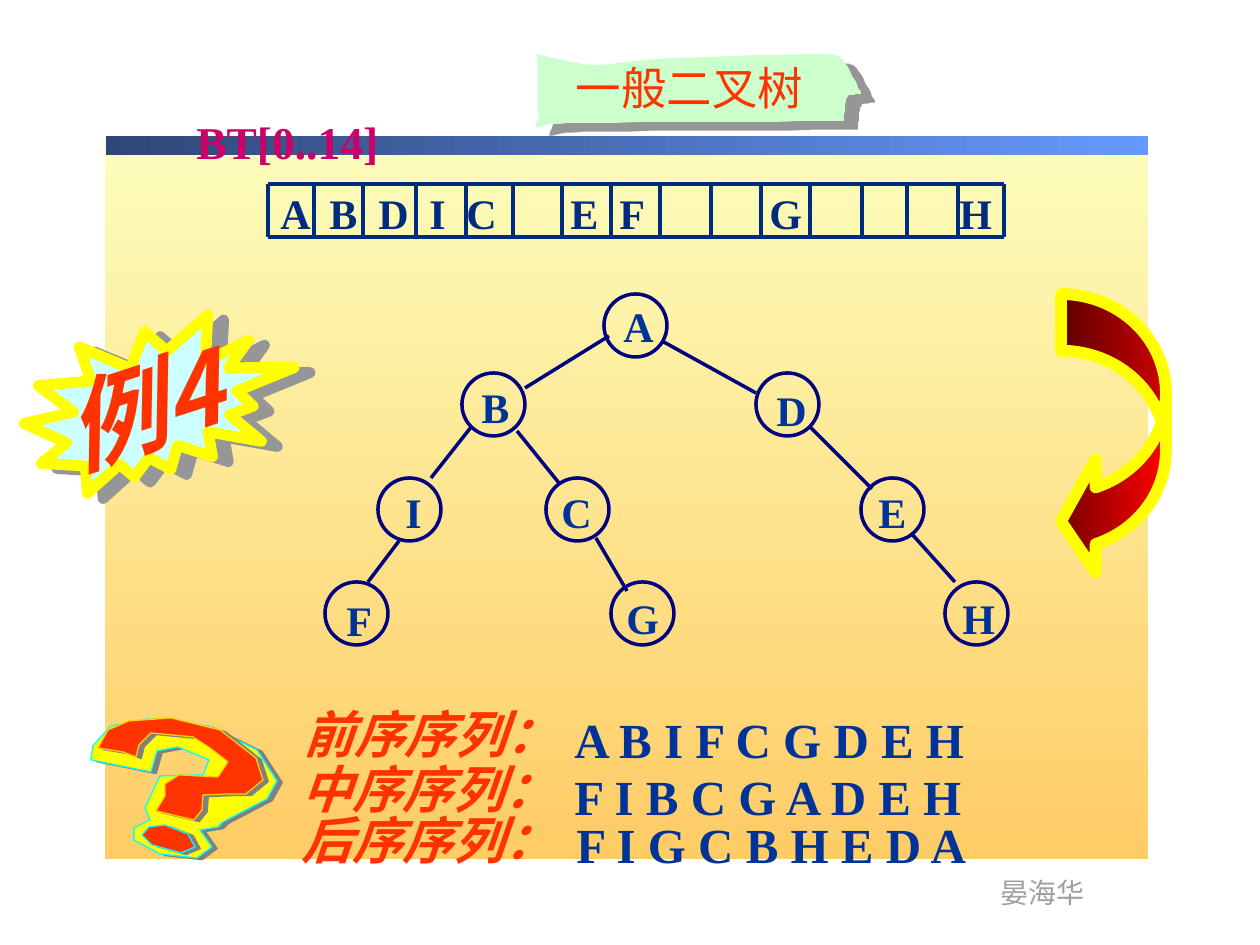
"""Build a slide on a general binary tree, its array and its traversals."""
from dataclasses import dataclass

from lxml.etree import SubElement
from pptx import Presentation
from pptx.dml.color import RGBColor
from pptx.enum.shapes import MSO_CONNECTOR, MSO_SHAPE
from pptx.enum.text import MSO_ANCHOR, MSO_AUTO_SIZE, PP_ALIGN
from pptx.oxml.ns import qn
from pptx.util import Emu, Pt

EMU_PER_PX = 914400 / 126


def px(length):
    """Turn pixels into EMU."""
    return Emu(round(length * EMU_PER_PX))


def bezier(start, curves, steps=12):
    """Return the points along a chain of cubic curves."""
    points = [start]
    for first, second, end in curves:
        origin = points[-1]
        for step in range(1, steps + 1):
            t = step / steps
            weights = ((1 - t) ** 3, 3 * t * (1 - t) ** 2, 3 * t * t * (1 - t), t ** 3)
            controls = (origin, first, second, end)
            points.append(tuple(sum(w * c[axis] for w, c in zip(weights, controls)) for axis in (0, 1)))
    return points


@dataclass(frozen=True)
class Theme:
    """Colours, fonts and type sizes of the slide."""
    panel: tuple = ("FCFEBC", "FFCC66")
    bar: tuple = ("2F4776", "6699FF")
    arrow: tuple = ("FF0000", "760000")
    red: str = "FF3300"
    blue: str = "003399"
    navy: str = "000080"
    grid: str = "002B80"
    magenta: str = "CC0066"
    yellow: str = "FFFF00"
    gold: str = "FFCC00"
    cyan: str = "00FFFF"
    pale_cyan: str = "CCFFFF"
    mint: str = "CCFFCC"
    author: str = "9F9F9F"
    shade: str = "969696"
    mark_shade: str = "808080"
    white: str = "FFFFFF"
    black: str = "000000"
    serif: str = "Times New Roman"
    narrow: str = "Arial Narrow"
    cjk: str = "Noto Sans CJK SC"
    small: int = 16
    letter: int = 24
    heading: int = 26
    sequence: int = 28
    caption: int = 29
    burst: int = 57
    stroke: int = 2


class SlideBuilder:
    """Draw themed elements on the current slide."""

    def __init__(self, slide, theme):
        """Keep the slide and its theme."""
        self.slide, self.theme = slide, theme

    def shadow(self, parent, color, distance, angle):
        """Add an outer shadow to shape or text properties."""
        effects = SubElement(parent, qn("a:effectLst"))
        outer = SubElement(effects, qn("a:outerShdw"), dist=str(Pt(distance)),
                           dir=str(angle * 60000), algn="ctr", rotWithShape="0")
        SubElement(outer, qn("a:srgbClr"), val=color)

    def paint(self, shape, fill=None, line=None, width=None, shadow=None, angle=0):
        """Set the fill, outline and shadow of a shape."""
        if isinstance(fill, tuple):
            shape.fill.gradient()
            shape.fill.gradient_angle = angle
            for stop, color, position in zip(shape.fill.gradient_stops, fill, (0, 1)):
                stop.color.rgb = RGBColor.from_string(color)
                stop.position = position
        elif fill:
            shape.fill.solid()
            shape.fill.fore_color.rgb = RGBColor.from_string(fill)
        else:
            shape.fill.background()
        if line:
            shape.line.color.rgb = RGBColor.from_string(line)
            shape.line.width = Pt(width)
        else:
            shape.line.fill.background()
        if shadow:
            self.shadow(shape.element.spPr, *shadow)
        else:
            shape.shadow.inherit = False
        return shape

    def preset(self, kind, box, **look):
        """Add a preset shape."""
        return self.paint(self.slide.shapes.add_shape(kind, *map(px, box)), **look)

    def outline(self, points, **look):
        """Add a closed freeform."""
        builder = self.slide.shapes.build_freeform(*points[0], scale=EMU_PER_PX)
        builder.add_line_segments(points[1:], close=True)
        return self.paint(builder.convert_to_shape(), **look)

    def line(self, start, end, color):
        """Add a straight line."""
        connector = self.slide.shapes.add_connector(MSO_CONNECTOR.STRAIGHT, *map(px, start + end))
        connector.line.color.rgb = RGBColor.from_string(color)
        connector.line.width = Pt(self.theme.stroke)
        SubElement(connector.element.spPr, qn("a:effectLst"))

    def set_text(self, holder, text, size, color, font=None, wrap=False, shadow=None, tabs=(), **style):
        """Fill a text holder with one formatted paragraph."""
        frame = holder.text_frame
        layout = {"word_wrap": wrap, "auto_size": MSO_AUTO_SIZE.NONE, "vertical_anchor": MSO_ANCHOR.TOP}
        for key, value in layout.items():
            setattr(frame, key, value)
        paragraph = frame.paragraphs[0]
        paragraph.alignment = PP_ALIGN.LEFT
        if tabs:
            stops = SubElement(paragraph._p.get_or_add_pPr(), qn("a:tabLst"))
            for position in tabs:
                SubElement(stops, qn("a:tab"), pos=str(px(position)), algn="l")
        run = paragraph.add_run()
        run.text = text
        run.font.color.rgb = RGBColor.from_string(color)
        properties = run._r.get_or_add_rPr()
        if shadow:
            self.shadow(properties, *shadow)
        for key, value in {"size": Pt(size), "name": font or self.theme.serif, **style}.items():
            setattr(run.font, key, value)
        SubElement(properties, qn("a:ea"), typeface=self.theme.cjk)

    def text(self, box, text, size, color, **style):
        """Add a text box."""
        holder = self.slide.shapes.add_textbox(*map(px, box))
        self.set_text(holder, text, size, color, **style)
        return holder

    def title(self, box, text, size, color, **style):
        """Place the title above what is already drawn."""
        title = self.slide.shapes.title
        self.slide.shapes.element.append(title.element)
        for key, value in zip(("left", "top", "width", "height"), box):
            setattr(title, key, px(value))
        self.set_text(title, text, size, color, wrap=True, **style)


def draw_traversals(build, theme):
    """Draw the three traversal captions and sequences."""
    rows = (("前序序列：", (291, 697), "A B I F C G D E H", (562, 703)),
            ("中序序列：", (289, 752), "F I B C G A D E H", (562, 760)),
            ("后序序列：", (289, 803), "F I G C B H E D A", (564, 808)))
    for caption, place, sequence, target in rows:
        build.text((*place, 280, 73), caption, theme.caption, theme.red, bold=True, italic=True,
                   shadow=(theme.white, 2, 45))
        build.text((*target, 455, 72), sequence, theme.sequence, theme.blue, bold=True, wrap=True)


def draw_question_mark(build, theme):
    """Draw the question mark."""
    rim = [(157, 751), (178, 747), (209, 760), (203, 775), (160, 776), (145, 808), (150, 820), (134, 828),
           (134, 840), (160, 854), (197, 858), (212, 847), (200, 830), (218, 827), (223, 822), (267, 799),
           (277, 781), (257, 750), (208, 726), (149, 719), (111, 726), (93, 746), (91, 760), (151, 772)]
    hook = [(98, 748), (123, 752), (136, 757), (139, 745), (151, 733), (193, 737), (210, 748), (228, 762),
            (218, 777), (179, 775), (165, 784), (165, 796), (156, 811), (194, 820), (202, 810), (203, 795),
            (227, 794), (246, 794), (263, 780), (256, 758), (220, 730), (171, 718), (129, 721), (108, 730)]
    dot = [(165, 825), (149, 827), (142, 835), (152, 845), (181, 853), (195, 847), (188, 834)]
    for points, fill, edge in ((rim, theme.yellow, theme.cyan), (hook, theme.red, theme.gold),
                               (dot, theme.red, theme.cyan)):
        build.outline(points, fill=fill, line=edge, width=0.75, shadow=(theme.mark_shade, 3.2, 18))


def draw_tree(build, theme):
    """Draw the nodes, edges and letters of the tree."""
    nodes = {"A": (604, 294, 611, 294), "B": (462, 373, 469, 375), "D": (756, 373, 764, 378),
             "I": (378, 478, 393, 480), "C": (546, 478, 549, 480), "E": (861, 478, 866, 480),
             "F": (325, 582, 334, 588), "G": (611, 582, 614, 586), "H": (945, 582, 950, 586)}
    edges = (((609, 336), (525, 388)), ((662, 341), (756, 393)), ((472, 426), (431, 478)),
             ((517, 431), (559, 483)), ((399, 541), (368, 582)), ((596, 538), (627, 591)),
             ((809, 426), (872, 489)), ((911, 533), (955, 582)))
    for left, top, _, _ in nodes.values():
        build.preset(MSO_SHAPE.OVAL, (left, top, 63, 63), line=theme.navy, width=theme.stroke)
    for start, end in edges:
        build.line(start, end, theme.navy)
    for letter, (_, _, left, top) in nodes.items():
        build.text((left, top, 55, 63), letter, theme.letter, theme.blue, bold=True)


def draw_array(build, theme):
    """Draw the array cells and their letters."""
    walls = (268, 314, 363, 416, 466, 513, 562, 611, 660, 711, 761, 810, 862, 907, 958, 1004)
    top, bottom = 184, 237
    build.text((184, 108, 249, 67), "BT[0..14]", theme.heading, theme.magenta, bold=True, wrap=True)
    for level in (top, bottom):
        build.line((walls[0], level), (walls[-1], level), theme.grid)
    for wall in walls:
        build.line((wall, top), (wall, bottom), theme.grid)
    build.text((268, 181, 775, 63), "\t".join("ABDICEFGH"), theme.letter, theme.grid, bold=True,
               wrap=True, tabs=(49, 98, 149, 186, 290, 339, 489, 679))


def main():
    """Build and save the slide."""
    deck = Presentation()
    deck.slide_width, deck.slide_height = px(1260), px(945)
    theme = Theme()
    build = SlideBuilder(deck.slides.add_slide(deck.slide_layouts[5]), theme)
    build.preset(MSO_SHAPE.RECTANGLE, (105, 139, 1043, 720), fill=theme.panel, angle=270)
    build.preset(MSO_SHAPE.RECTANGLE, (106, 136, 1042, 19), fill=theme.bar)
    build.text((988, 869, 110, 47), "晏海华", theme.small, theme.author, font=theme.narrow)
    draw_traversals(build, theme)
    draw_question_mark(build, theme)
    draw_tree(build, theme)
    arrow = build.preset(MSO_SHAPE.CURVED_RIGHT_ARROW, (1061, 294, 105, 284), fill=theme.arrow,
                         line=theme.yellow, width=6.75)
    arrow.element.spPr.xfrm.set("flipH", "1")
    for index, value in enumerate((0.54, 1.08, 0.33)):
        arrow.adjustments[index] = value
    burst = build.preset(MSO_SHAPE.EXPLOSION2, (24, 316, 271, 176), fill=theme.pale_cyan,
                         line=theme.yellow, width=6.25, shadow=(theme.shade, 9.5, 18))
    burst.rotation = 358.9
    example = build.text((47, 324, 290, 132), "例4", theme.burst, theme.red, font=theme.cjk, bold=True,
                         italic=True, wrap=True, shadow=(theme.black, 3, 45))
    example.rotation = 341.9
    banner = bezier((536, 54), (((541, 76), (536, 94), (539, 116)), ((533, 135), (530, 125), (568, 123)),
                                ((660, 122), (752, 122), (844, 121)), ((845, 112), (844, 103), (848, 96)),
                                ((851, 93), (861, 96), (861, 93)), ((861, 93), (845, 59), (840, 57)),
                                ((834, 54), (827, 55), (820, 54)), ((543, 57), (634, 77), (536, 54))))
    build.outline(banner, fill=theme.mint, shadow=(theme.shade, 9.4, 32))
    build.title((563, 54, 280, 67), "一般二叉树", theme.heading, theme.red, font=theme.cjk)
    draw_array(build, theme)
    deck.save("out.pptx")


if __name__ == "__main__":
    main()
